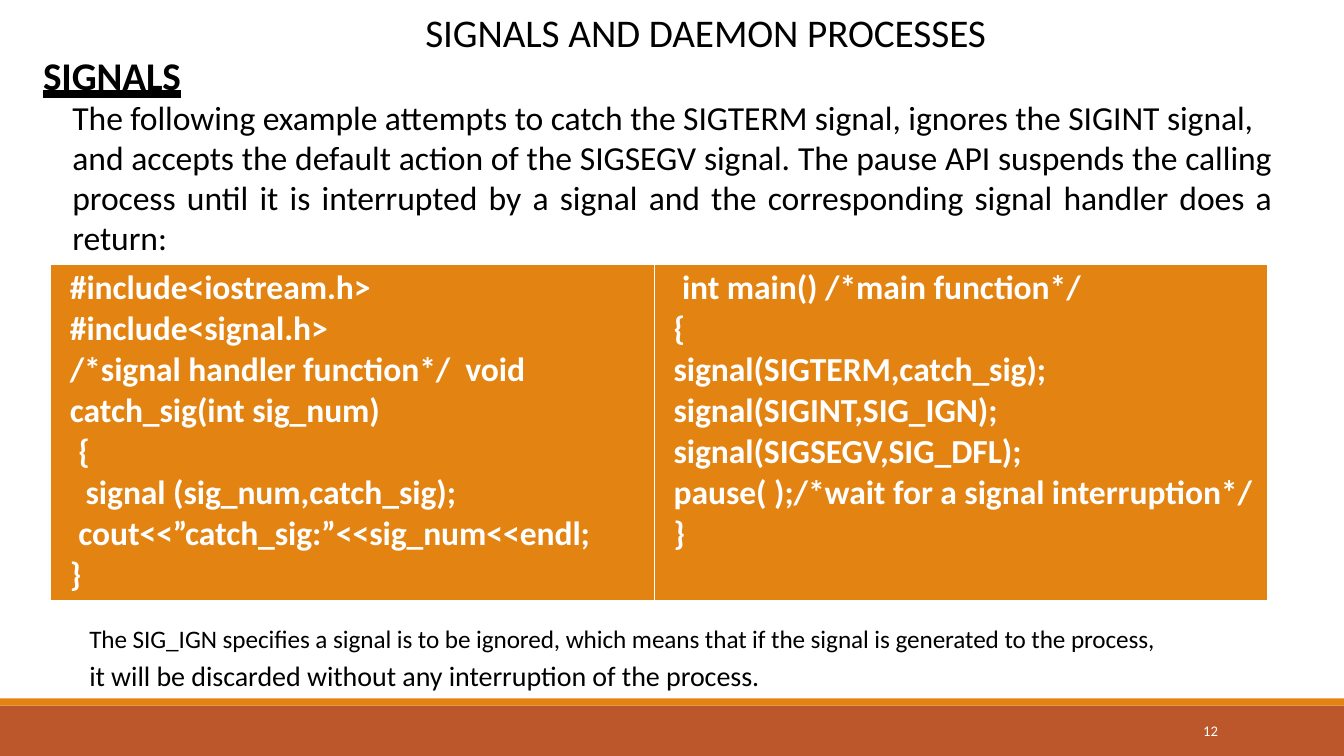
from dataclasses import dataclass

from lxml import etree
from pptx import Presentation
from pptx import util as u
from pptx.dml.color import RGBColor
from pptx.enum import shapes, text
from pptx.oxml import ns

EMU_PER_PX = 9525
FONT = "Calibri"
BLACK = RGBColor(0x00, 0x00, 0x00)
WHITE = RGBColor(0xFF, 0xFF, 0xFF)
ORANGE = RGBColor(0xE3, 0x83, 0x12)
RUST = RGBColor(0xBC, 0x57, 0x2C)


@dataclass(frozen=True)
class Area:
    left: int
    top: int
    width: int
    height: int

    def emu(self) -> tuple[int, int, int, int]:
        return px(self.left), px(self.top), px(self.width), px(self.height)


@dataclass(frozen=True)
class Band:
    area: Area
    color: RGBColor


@dataclass(frozen=True)
class CodeLine:
    text: str
    indent: int = 0


PAGE = Area(0, 0, 1280, 720)
BANDS = [
    Band(Area(0, 672, 1280, 48), RUST),
    Band(Area(0, 665, 1280, 7), ORANGE),
]
TITLE = Area(396, 7, 652, 122)
INTRO = Area(40, 49, 1177, 197)
CODE = Area(48, 252, 1159, 321)
NOTE = Area(84, 588, 1027, 71)
NUMBER = Area(1143, 690, 27, 18)

CODE_WIDTHS = [575, 584]
CODE_INDENT = 9
CODE_COLUMNS = [
    [
        CodeLine("#include<iostream.h>"),
        CodeLine("#include<signal.h>"),
        CodeLine("/*signal handler function*/  void"),
        CodeLine("catch_sig(int sig_num)"),
        CodeLine("{", 8),
        CodeLine("signal (sig_num,catch_sig);", 15),
        CodeLine("cout<<”catch_sig:”<<sig_num<<endl;", 8),
        CodeLine("}"),
    ],
    [
        CodeLine("int main() /*main function*/", 8),
        CodeLine("{"),
        CodeLine("signal(SIGTERM,catch_sig);"),
        CodeLine("signal(SIGINT,SIG_IGN);"),
        CodeLine("signal(SIGSEGV,SIG_DFL);"),
        CodeLine("pause( );/*wait for a signal interruption*/"),
        CodeLine("}"),
    ],
]


def px(length: int) -> int:
    return length * EMU_PER_PX


def write(frame, words: str, *, size: float, color: RGBColor = BLACK,
          bold: bool = False, underline=False, align=text.PP_ALIGN.LEFT,
          indent: int = 0, right: int = 0, before: float = 0,
          line: float | None = None, tracking: int = -5) -> None:
    """Fill the frame's empty first paragraph, or add one; tracking is in 1/100 pt."""
    para = frame.paragraphs[-1]
    if para.runs:
        para = frame.add_paragraph()
    para.alignment = align
    para.space_before = u.Pt(before)
    if line:
        para.line_spacing = u.Pt(line)
    properties = para._p.get_or_add_pPr()
    properties.set("marL", str(px(indent)))
    properties.set("marR", str(px(right)))
    properties.set("indent", "0")
    span = para.add_run()
    span.text = words
    span.font.name = FONT
    span.font.size = u.Pt(size)
    span.font.bold = bold
    span.font.underline = underline
    span.font.color.rgb = color
    span._r.get_or_add_rPr().set("spc", str(tracking))


def prepare_frame(frame, top: int = 0) -> None:
    frame.word_wrap = True
    frame.auto_size = text.MSO_AUTO_SIZE.NONE
    frame.vertical_anchor = text.MSO_ANCHOR.TOP
    frame.margin_left = frame.margin_right = frame.margin_bottom = 0
    frame.margin_top = px(top)


def add_box(page, area: Area, top: int = 0):
    frame = page.shapes.add_textbox(*area.emu()).text_frame
    prepare_frame(frame, top)
    return frame


def add_band(page, band: Band) -> None:
    shape = page.shapes.add_shape(shapes.MSO_SHAPE.RECTANGLE, *band.area.emu())
    shape.shadow.inherit = False
    shape.fill.solid()
    shape.fill.fore_color.rgb = band.color
    shape.line.fill.background()


def add_title(page) -> None:
    title = page.shapes.title
    title.left, title.top, title.width, title.height = TITLE.emu()
    prepare_frame(title.text_frame, 1)
    write(title.text_frame, "SIGNALS AND DAEMON PROCESSES", size=28,
          indent=9, before=1)


def set_borders(cell) -> None:
    properties = cell._tc.get_or_add_tcPr()
    for side, points in {"L": 0.96, "R": 0.96, "T": 0.96, "B": 3}.items():
        edge = etree.SubElement(properties, ns.qn(f"a:ln{side}"),
                                w=str(u.Pt(points)))
        fill = etree.SubElement(edge, ns.qn("a:solidFill"))
        etree.SubElement(fill, ns.qn("a:srgbClr"), val=str(WHITE))


def add_code_table(page) -> None:
    table = page.shapes.add_table(1, len(CODE_COLUMNS), *CODE.emu()).table
    table.first_row = table.horz_banding = False
    for index, (width, lines) in enumerate(zip(CODE_WIDTHS, CODE_COLUMNS)):
        table.columns[index].width = px(width)
        cell = table.cell(0, index)
        set_borders(cell)
        cell.fill.solid()
        cell.fill.fore_color.rgb = ORANGE
        cell.margin_top, cell.margin_bottom = px(3), 0
        cell.margin_right = 0
        for row, code in enumerate(lines):
            write(cell.text_frame, code.text, size=24, color=WHITE, bold=True,
                  indent=CODE_INDENT + code.indent, before=0 if row else 2)


def add_intro(page) -> None:
    frame = add_box(page, INTRO, 1)
    write(frame, "SIGNALS", size=28, bold=True, indent=1, before=1, line=32.5,
          underline=text.MSO_TEXT_UNDERLINE_TYPE.HEAVY_LINE)
    justified = dict(size=24, align=text.PP_ALIGN.JUSTIFY, indent=29, right=6)
    write(frame, "The following example attempts to catch the SIGTERM signal, "
          "ignores the SIGINT signal,", line=27.7, **justified)
    write(frame, "and accepts the default action of the SIGSEGV signal. "
          "The pause API suspends the calling process until it is interrupted "
          "by a signal and the corresponding signal handler does a return:",
          **justified)


def add_note(page) -> None:
    frame = add_box(page, NOTE, 6)
    write(frame, "The SIG_IGN specifies a signal is to be ignored, which means "
          "that if the signal is generated to the process,",
          size=18, indent=1, before=4)
    write(frame, "it will be discarded without any interruption of the process.",
          size=20, indent=1, before=3.4)


def main() -> None:
    deck = Presentation()
    deck.slide_width, deck.slide_height = px(PAGE.width), px(PAGE.height)
    page = deck.slides.add_slide(deck.slide_layouts.get_by_name("Title Only"))
    for band in BANDS:
        add_band(page, band)
    add_title(page)
    write(add_box(page, NUMBER), "12", size=10.5, color=WHITE, indent=3,
          line=11, tracking=0)
    add_intro(page)
    add_code_table(page)
    add_note(page)
    deck.save("out.pptx")


if __name__ == "__main__":
    main()
